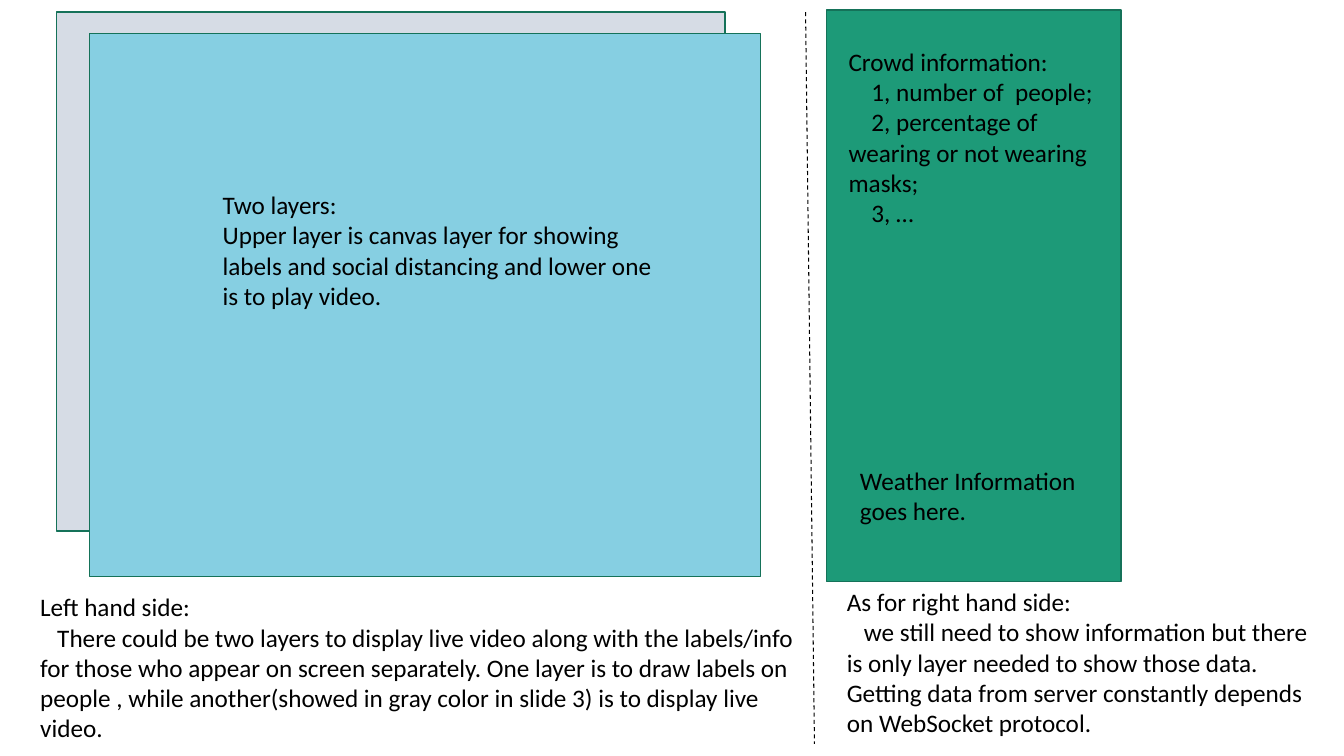
import pptx
import pptx.util
import pptx.dml.color
import pptx.enum.dml
import pptx.enum.shapes
import pptx.enum.text
from lxml import etree

RGB = pptx.dml.color.RGBColor
BLACK = RGB(0x00, 0x00, 0x00)
GREEN = RGB(0x1D, 0x9A, 0x78)
DARK_GREEN = RGB(0x15, 0x72, 0x59)
GRAY = RGB(0xD6, 0xDC, 0xE5)
SKY = RGB(0x86, 0xCF, 0xE2)


def write(tf, text, font="Calibri", size=18, color=BLACK, indents=()):
    """Write each line of text as a paragraph; indents are first-line points."""
    for i, line in enumerate(text.split("\n")):
        p = tf.paragraphs[0] if i == 0 else tf.add_paragraph()
        if i < len(indents) and indents[i]:
            pPr = p._p.get_or_add_pPr()
            pPr.set("marL", "0")
            pPr.set("indent", str(pptx.util.Pt(indents[i])))
        r = p.add_run()
        r.text = line
        r.font.name = font
        r.font.size = pptx.util.Pt(size)
        r.font.color.rgb = color


class Sketch:
    """Holds the slide and its style; lengths are percent of the slide's size."""

    outline = DARK_GREEN

    def __init__(self, prs):
        """Add a blank slide."""
        self.s = prs.slides.add_slide(prs.slide_layouts[6])
        self.width, self.height = prs.slide_width, prs.slide_height

    def scale(self, x, y):
        """Turn percent of width and height into lengths."""
        return int(self.width * x / 100), int(self.height * y / 100)

    def panel(self, x, y, w, h, fill):
        """Draw a filled, outlined rectangle."""
        sp = self.s.shapes.add_shape(pptx.enum.shapes.MSO_SHAPE.RECTANGLE,
                                     *self.scale(x, y), *self.scale(w, h))
        sp.shadow.inherit = False
        sp.fill.solid()
        sp.fill.fore_color.rgb = fill
        sp.line.color.rgb = self.outline
        sp.line.width = pptx.util.Pt(1)

    def divider(self, x1, y1, x2, y2):
        """Draw a dashed line."""
        line = self.s.shapes.add_connector(pptx.enum.shapes.MSO_CONNECTOR.STRAIGHT,
                                           *self.scale(x1, y1), *self.scale(x2, y2))
        line.line.color.rgb = BLACK
        line.line.width = pptx.util.Pt(0.75)
        line.line.dash_style = pptx.enum.dml.MSO_LINE.DASH
        etree.SubElement(line._element.spPr, pptx.oxml.ns.qn("a:effectLst"))

    def note(self, x, y, w, h, text, **style):
        """Place a wrapped text box that grows with its text."""
        sp = self.s.shapes.add_textbox(*self.scale(x, y), *self.scale(w, h))
        tf = sp.text_frame
        tf.word_wrap = True
        tf.auto_size = pptx.enum.text.MSO_AUTO_SIZE.SHAPE_TO_FIT_TEXT
        write(tf, text, **style)


def main():
    """Build the layout sketch and save it."""
    prs = pptx.Presentation()
    prs.slide_width = pptx.util.Inches(13.33)
    prs.slide_height = pptx.util.Inches(7.5)
    sketch = Sketch(prs)

    sketch.panel(61.5, 1.33, 21.9, 75.6, GREEN)
    sketch.panel(4.2, 1.6, 49.75, 68.67, GRAY)
    sketch.panel(6.68, 4.4, 49.9, 71.87, SKY)
    sketch.divider(59.94, 1.6, 60.6, 98.4)

    sketch.note(2.25, 77.6, 60, 21.6,
                "Left hand side:\n"
                "There could be two layers to display live video along with the "
                "labels/info for those who appear on screen separately. One layer is "
                "to draw labels on people , while another(showed in gray color in "
                "slide 3) is to display live video.", indents=(0, 12.2))
    sketch.note(62.4, 5.47, 20.03, 25.6,
                "Crowd information:\n1, number of  people;\n"
                "2, percentage of wearing or not wearing masks;\n3, …",
                indents=(0, 16.3, 16.3, 16.3))
    sketch.note(63.24, 60.93, 18.6, 9.47, "Weather Information goes here.")
    sketch.note(62.27, 76.93, 36.68, 21.6,
                "As for right hand side:\n"
                "we still need to show information but there is only layer needed to "
                "show those data. Getting data from server constantly depends on "
                "WebSocket protocol.", indents=(0, 12.2))
    sketch.note(15.83, 24.4, 33.6, 17.47,
                "Two layers:\n"
                "Upper layer is canvas layer for showing labels and social distancing "
                "and lower one is to play video.")
    prs.save("out.pptx")


main()
